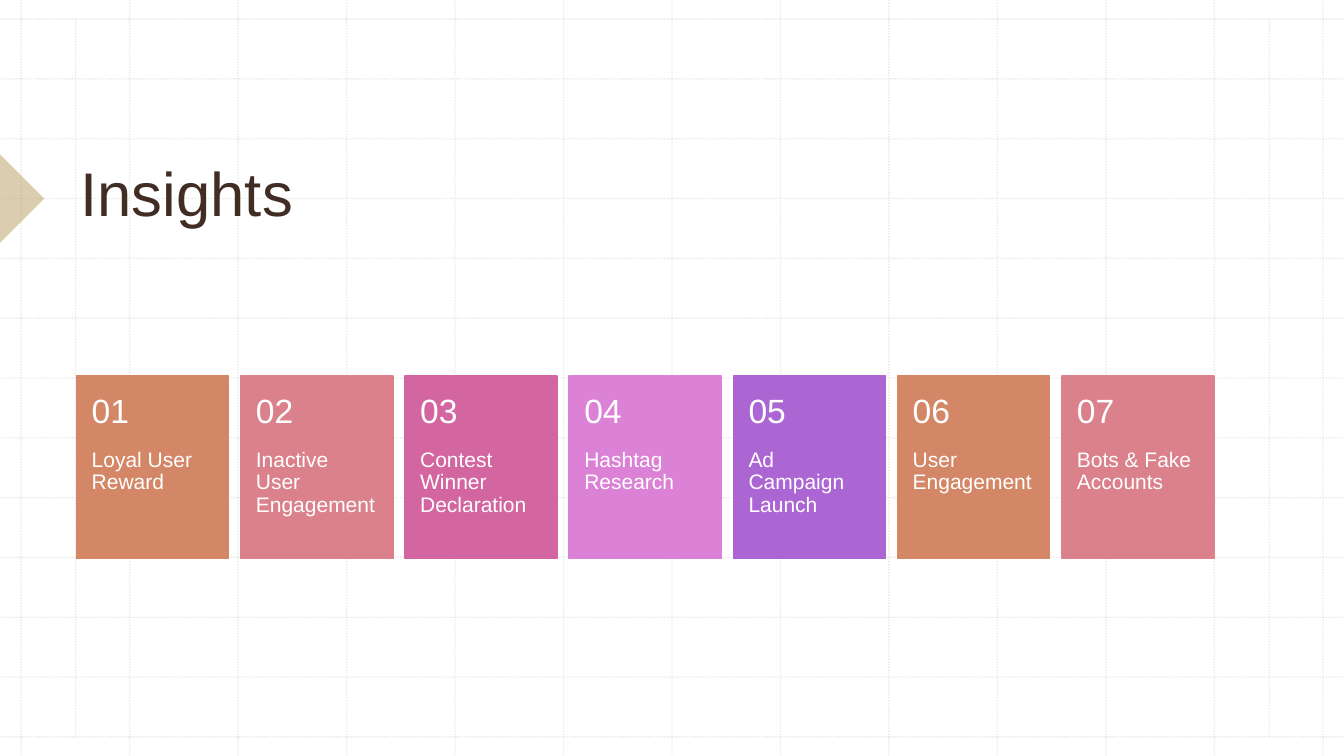
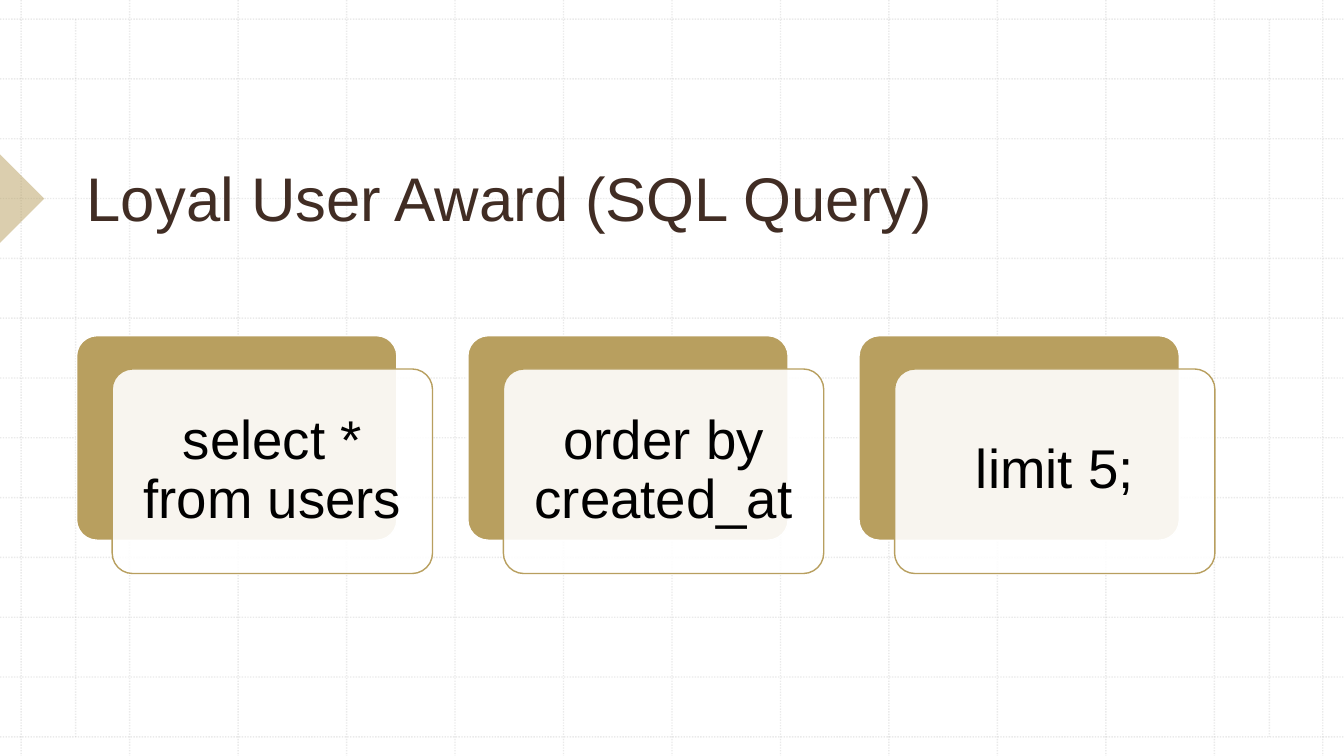
from dataclasses import dataclass
from itertools import cycle
from typing import NamedTuple

from lxml.etree import SubElement
from pptx import Presentation
from pptx.dml.color import RGBColor
from pptx.enum.dml import MSO_LINE
from pptx.enum.shapes import MSO_CONNECTOR, MSO_SHAPE
from pptx.enum.text import MSO_ANCHOR, MSO_AUTO_SIZE, PP_ALIGN
from pptx.oxml.ns import qn
from pptx.util import Inches, Pt


@dataclass(frozen=True)
class Theme:
    """Colours, type sizes and measures shared by the slides."""
    font: str = "Arial"
    white: str = "FFFFFF"
    black: str = "000000"
    brown: str = "412D24"
    gold: str = "B89F5F"
    grid: str = "BCBCBC"
    cards: tuple = ("D38766", "DB818C", "D366A0", "DB81D6", "AB66D3")
    title_size: int = 44
    query_size: int = 39
    number_size: int = 24
    label_size: int = 15
    line_width: int = 1


class Box(NamedTuple):
    left: float
    top: float
    width: float
    height: float

    def emu(self):
        return [Inches(length) for length in self]

    def portion(self, x, y, width, height):
        """A box inside this one, given as shares of its size."""
        return Box(self.left + x * self.width, self.top + y * self.height,
                   width * self.width, height * self.height)

    def columns(self, count, gap):
        """Equal columns with equal gaps."""
        width = (self.width - gap * (count - 1)) / count
        return [Box(self.left + i * (width + gap), self.top, width, self.height)
                for i in range(count)]

    def inset(self, margin):
        return Box(self.left + margin, self.top + margin,
                   self.width - 2 * margin, self.height - 2 * margin)


THEME = Theme()
SLIDE = Box(0, 0, 13.33, 7.5)
GRID = Box(0.21, 0.19, 12.91, 7.12)
GRID_STEPS = 12
SIDE_MARGINS = (0.75, 12.59)

INSIGHTS = ("Loyal User Reward", "Inactive User Engagement",
            "Contest Winner Declaration", "Hashtag Research",
            "Ad Campaign Launch", "User Engagement", "Bots & Fake Accounts")
QUERY = ("select * from users", "order by created_at", "limit 5;")


def paint(fill, properties, color, opacity):
    """Give a solid fill, made partly transparent below 100 percent."""
    fill.solid()
    fill.fore_color.rgb = RGBColor.from_string(color)
    if opacity < 100:
        solid = next(properties.iter(qn("a:srgbClr")))
        SubElement(solid, qn("a:alpha"), val=str(opacity * 1000))


def add_block(slide, kind, box, fill, line=None, opacity=100):
    block = slide.shapes.add_shape(kind, *box.emu())
    block.shadow.inherit = False
    paint(block.fill, block.element.spPr, fill, opacity)
    if line:
        block.line.color.rgb = RGBColor.from_string(line)
        block.line.width = Pt(THEME.line_width)
    else:
        block.line.fill.background()
    return block


def write(frame, text, size, color, align=PP_ALIGN.LEFT, spacing=None, **layout):
    """Put one styled paragraph in a text frame."""
    frame.text = text
    settings = {"word_wrap": True, "auto_size": MSO_AUTO_SIZE.NONE, **layout}
    for name, value in settings.items():
        setattr(frame, name, value)
    paragraph = frame.paragraphs[0]
    paragraph.alignment = align
    paragraph.line_spacing = spacing
    font = paragraph.runs[0].font
    for name, value in {"name": THEME.font, "size": Pt(size)}.items():
        setattr(font, name, value)
    font.color.rgb = RGBColor.from_string(color)


def add_text(slide, box, text, size, color, margins, **layout):
    frame = slide.shapes.add_textbox(*box.emu()).text_frame
    sides = ("margin_left", "margin_top", "margin_right", "margin_bottom")
    insets = {side: Inches(m) for side, m in zip(sides, margins)}
    write(frame, text, size, color, spacing=0.9, **insets, **layout)


def add_grid_line(slide, x1, y1, x2, y2):
    rule = slide.shapes.add_connector(
        MSO_CONNECTOR.STRAIGHT, *(Inches(v) for v in (x1, y1, x2, y2)))
    paint(rule.line.fill, rule.element.spPr, THEME.grid, 30)
    rule.line.width = Pt(THEME.line_width)
    rule.line.dash_style = MSO_LINE.ROUND_DOT
    SubElement(rule.element.spPr, qn("a:effectLst"))


def add_backdrop(slide, box):
    """Dotted grid and the arrow at the left edge."""
    for step in range(GRID_STEPS + 1):
        x = GRID.left + GRID.width * step / GRID_STEPS
        y = GRID.top + GRID.height * step / GRID_STEPS
        add_grid_line(slide, x, box.top, x, box.top + box.height)
        add_grid_line(slide, box.left, y, box.left + box.width, y)
    for x in SIDE_MARGINS:
        add_grid_line(slide, x, GRID.top, x, GRID.top + GRID.height)
    arrow = add_block(slide, MSO_SHAPE.RIGHT_TRIANGLE,
                      Box(-0.31, 1.66, 0.62, 0.62), THEME.gold, opacity=50)
    arrow.rotation = 225


def add_titled_slide(deck, text, box):
    slide = deck.slides.add_slide(deck.slide_layouts[5])
    add_backdrop(slide, SLIDE)
    title = slide.shapes.title
    places = dict(zip(("left", "top", "width", "height"), box.emu()))
    for name, value in places.items():
        setattr(title, name, value)
    write(title.text_frame, text, THEME.title_size, THEME.brown,
          vertical_anchor=MSO_ANCHOR.BOTTOM)
    # The title lies above the backdrop
    title.element.getparent().append(title.element)
    return slide


def add_insight_cards(slide, box, labels):
    """Row of numbered cards: number on top, label below."""
    cards = box.columns(len(labels), gap=0.12)
    for number, (card, label, color) in enumerate(
            zip(cards, labels, cycle(THEME.cards)), start=1):
        add_block(slide, MSO_SHAPE.RECTANGLE, card, color, color)
        add_text(slide, card.portion(0, 0.4, 1, 0.6), label, THEME.label_size,
                 THEME.white, (0.15, 0, 0.15, 0.36),
                 vertical_anchor=MSO_ANCHOR.TOP)
        add_text(slide, card.portion(0, 0, 1, 0.4), f"{number:02}",
                 THEME.number_size, THEME.white, (0.15, 0.18, 0.15, 0.18),
                 vertical_anchor=MSO_ANCHOR.MIDDLE)


def add_query_panels(slide, box, clauses):
    """Row of gold panels, each under a shifted translucent panel."""
    share_x, share_y = 0.9, 0.86
    for cell, clause in zip(box.columns(len(clauses), gap=0.35), clauses):
        front_box = cell.portion(1 - share_x, 1 - share_y, share_x, share_y)
        back = add_block(slide, MSO_SHAPE.ROUNDED_RECTANGLE,
                         cell.portion(0, 0, share_x, share_y),
                         THEME.gold, THEME.white)
        front = add_block(slide, MSO_SHAPE.ROUNDED_RECTANGLE, front_box,
                          THEME.white, THEME.gold, opacity=90)
        for panel in (back, front):
            panel.adjustments[0] = 0.1
        add_text(slide, front_box.inset(0.06), clause, THEME.query_size,
                 THEME.black, (0.16,) * 4, align=PP_ALIGN.CENTER,
                 vertical_anchor=MSO_ANCHOR.MIDDLE)


def main():
    deck = Presentation()
    deck.slide_width, deck.slide_height = SLIDE.emu()[2:]

    insights = add_titled_slide(deck, "Insights", Box(0.7, 0.81, 11.29, 1.51))
    add_insight_cards(insights, Box(0.76, 3.73, 11.28, 1.81), INSIGHTS)

    award = add_titled_slide(deck, "Loyal User Award (SQL Query)",
                             Box(0.76, 0.79, 11.29, 1.58))
    add_query_panels(award, Box(0.76, 3.33, 11.29, 2.36), QUERY)

    deck.save("out.pptx")


if __name__ == "__main__":
    main()
